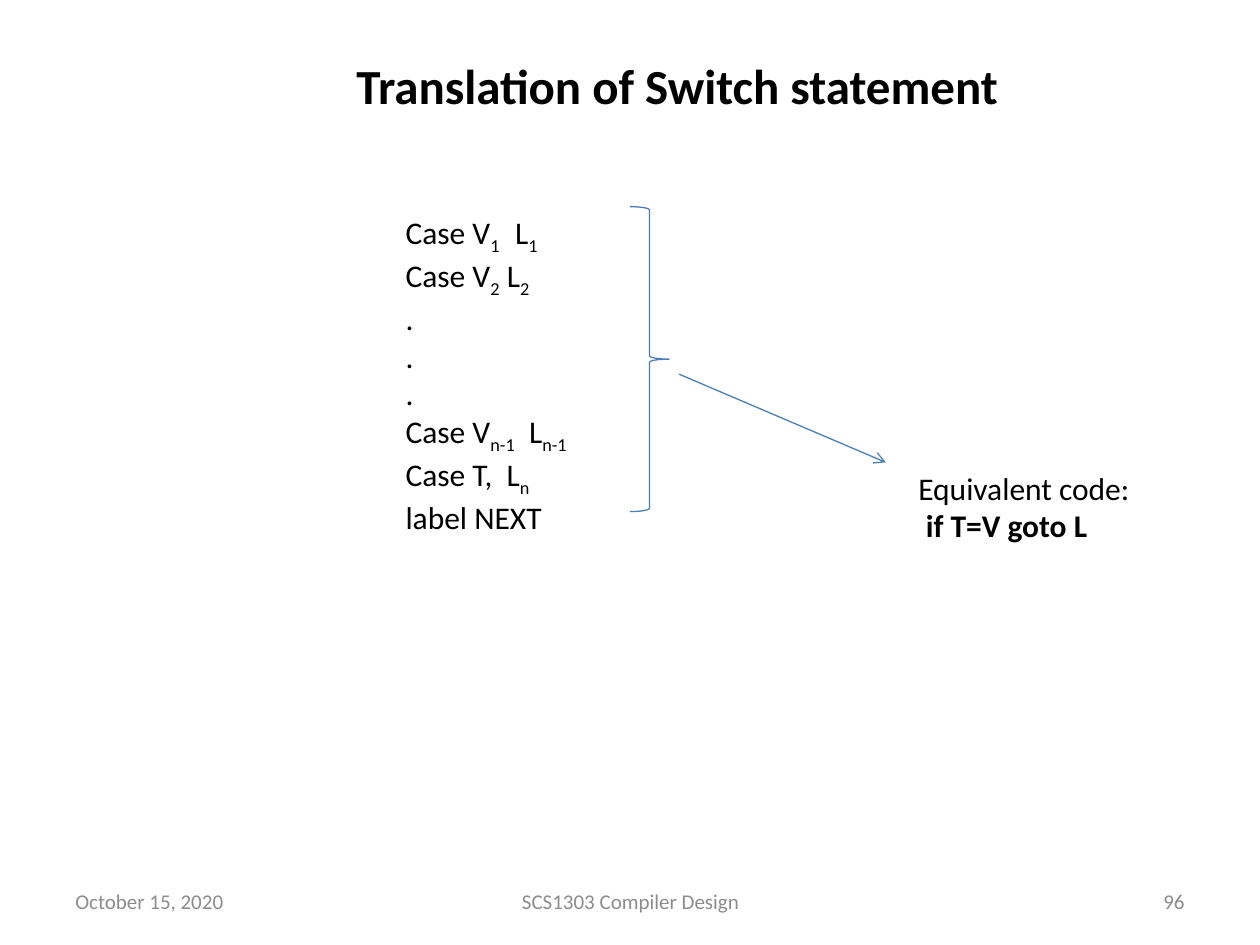
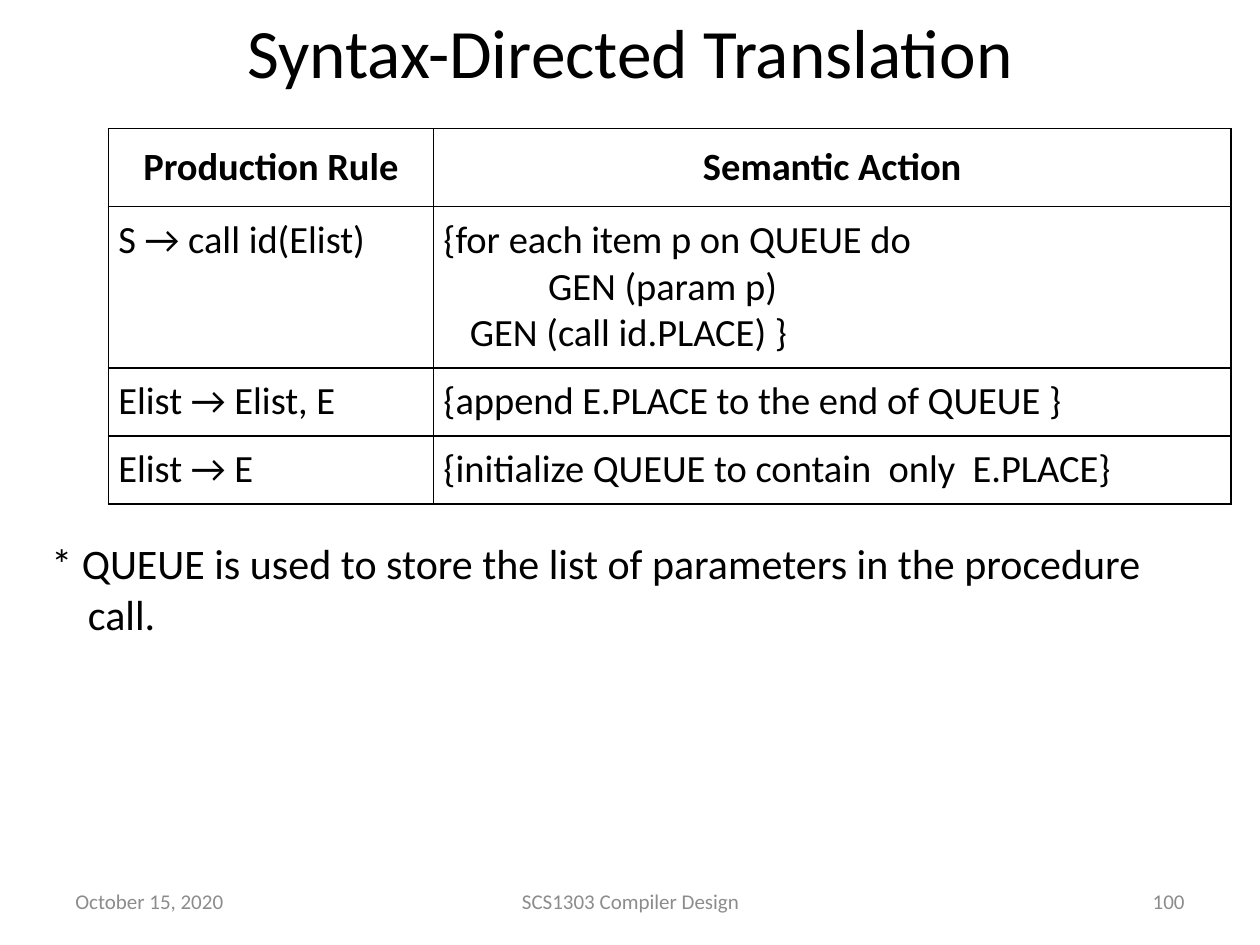
"""Build two compiler design slides on switch statements and procedure calls."""
from dataclasses import dataclass
from typing import Any

import lxml.etree
import pptx
import pptx.dml.color
import pptx.enum.shapes
import pptx.enum.text
import pptx.oxml.ns
import pptx.util

Inches = pptx.util.Inches
Pt = pptx.util.Pt
Align = pptx.enum.text.PP_ALIGN
Anchor = pptx.enum.text.MSO_ANCHOR

FONT_NAME = "Calibri"
BLACK = pptx.dml.color.RGBColor(0x00, 0x00, 0x00)
GRAY = pptx.dml.color.RGBColor(0x8C, 0x8C, 0x8C)
BLUE = pptx.dml.color.RGBColor(0x4B, 0x7E, 0xBC)


@dataclass(frozen=True)
class Run:
    """A stretch of text in one style."""
    text: str
    bold: bool = False
    subscript: bool = False


@dataclass(frozen=True)
class Line:
    """A paragraph with its left indent in inches."""
    runs: tuple[Run, ...]
    indent: float = 0


@dataclass(frozen=True)
class Style:
    """The look shared by the paragraphs of one text."""
    size: float
    color: pptx.dml.color.RGBColor = BLACK
    align: Any = Align.LEFT


@dataclass(frozen=True)
class TextBox:
    """A text box with its place in inches."""
    left: float
    top: float
    width: float
    height: float
    lines: tuple[Line, ...]
    style: Style
    anchor: Any = Anchor.TOP
    wrap: bool = True


def plain(text: str, indent: float = 0, bold: bool = False) -> Line:
    """Return a line of a single run."""
    return Line((Run(text, bold),), indent)


def indexed(*pairs: tuple[str, str]) -> Line:
    """Return a line of words, each followed by its subscript."""
    return Line(tuple(
        run for word, index in pairs
        for run in (Run(word), Run(index, subscript=True))
    ))


CASE_LINES = (
    indexed(("Case V", "1  "), (" L", "1")),
    indexed(("Case V", "2"), (" L", "2")),
    *(plain(".") for _ in range(3)),
    indexed(("Case V", "n-1"), ("  L", "n-1")),
    indexed(("Case T,  L", "n")),
    plain("label NEXT"),
)
EQUIVALENT_LINES = (
    plain("Equivalent code:"),
    plain("if T=V goto L", 0.06, True),
)
QUEUE_LINES = (
    plain("* QUEUE is used to store the list of parameters in the procedure"),
    plain("call.", 0.29),
)
RULES = (
    ((plain("Production Rule", bold=True),),
     (plain("Semantic Action", bold=True),)),
    ((plain("S → call id(Elist)"),),
     (plain("{for each item p on QUEUE do"),
      plain("GEN (param p)", 0.83),
      plain("GEN (call id.PLACE) }", 0.21))),
    ((plain("Elist → Elist, E"),),
     (plain("{append E.PLACE to the end of QUEUE }"),)),
    ((plain("Elist → E"),),
     (plain("{initialize QUEUE to contain  only  E.PLACE}"),)),
)
COLUMN_WIDTHS = (2.58, 6.33)
ROW_HEIGHTS = (0.62, 1.28, 0.54, 0.54)


def write_lines(text_frame: Any, lines: tuple[Line, ...], style: Style) -> None:
    """Write the lines into a text frame, run by run."""
    for number, line in enumerate(lines):
        paragraph = text_frame.paragraphs[0] if number == 0 else text_frame.add_paragraph()
        paragraph.alignment = style.align
        if line.indent:
            paragraph._p.get_or_add_pPr().set("marL", str(Inches(line.indent)))
        for part in line.runs:
            run = paragraph.add_run()
            run.text = part.text
            run.font.name = FONT_NAME
            run.font.size = Pt(style.size)
            run.font.bold = part.bold
            run.font.color.rgb = style.color
            if part.subscript:
                run._r.get_or_add_rPr().set("baseline", "-25000")


def add_text(slide: Any, box: TextBox) -> None:
    """Add a text box to the slide."""
    shape = slide.shapes.add_textbox(
        Inches(box.left), Inches(box.top), Inches(box.width), Inches(box.height))
    shape.text_frame.word_wrap = box.wrap
    shape.text_frame.vertical_anchor = box.anchor
    write_lines(shape.text_frame, box.lines, box.style)


def add_footer(slide: Any, number: int) -> None:
    """Add the date, course name and slide number."""
    for left, width, text, align in (
        (0.5, 2.33, "October 15, 2020", Align.LEFT),
        (3.42, 3.17, "SCS1303 Compiler Design", Align.CENTER),
        (7.17, 2.33, str(number), Align.RIGHT),
    ):
        add_text(slide, TextBox(left, 6.95, width, 0.4, (plain(text),),
                                Style(12, GRAY, align), Anchor.MIDDLE))


def add_slide(presentation: Any, title: TextBox, number: int) -> Any:
    """Add a blank slide with its title and footer."""
    slide = presentation.slides.add_slide(presentation.slide_layouts[6])
    add_text(slide, title)
    add_footer(slide, number)
    return slide


def set_line(shape: Any) -> None:
    """Give a shape or connector the thin blue line."""
    shape.line.color.rgb = BLUE
    shape.line.width = Pt(0.75)


def add_arrow(slide: Any, start: tuple[float, float], end: tuple[float, float]) -> None:
    """Add a straight arrow between two points."""
    connector = slide.shapes.add_connector(
        pptx.enum.shapes.MSO_CONNECTOR.STRAIGHT,
        *(Inches(length) for length in start + end))
    set_line(connector)
    properties = connector._element.spPr
    outline = properties.find(pptx.oxml.ns.qn("a:ln"))
    lxml.etree.SubElement(outline, pptx.oxml.ns.qn("a:tailEnd"), type="arrow")
    lxml.etree.SubElement(properties, pptx.oxml.ns.qn("a:effectLst"))


def add_brace(slide: Any) -> None:
    """Add the brace that gathers the cases."""
    brace = slide.shapes.add_shape(
        pptx.enum.shapes.MSO_SHAPE.RIGHT_BRACE,
        Inches(5), Inches(1.64), Inches(0.31), Inches(2.42))
    brace.shadow.inherit = False
    brace.fill.background()
    set_line(brace)


def set_borders(cell: Any) -> None:
    """Draw a black border on each side of a cell."""
    properties = cell._tc.get_or_add_tcPr()
    for position, side in enumerate(("a:lnL", "a:lnR", "a:lnT", "a:lnB")):
        border = lxml.etree.Element(pptx.oxml.ns.qn(side), w=str(Pt(1)))
        fill = lxml.etree.SubElement(border, pptx.oxml.ns.qn("a:solidFill"))
        lxml.etree.SubElement(fill, pptx.oxml.ns.qn("a:srgbClr"), val=str(BLACK))
        properties.insert(position, border)


def add_rule_table(slide: Any) -> None:
    """Add the table of production rules and semantic actions."""
    table = slide.shapes.add_table(
        len(ROW_HEIGHTS), len(COLUMN_WIDTHS), Inches(0.86), Inches(1.02),
        Inches(sum(COLUMN_WIDTHS)), Inches(sum(ROW_HEIGHTS))).table
    table.first_row = False
    table.horz_banding = False
    for column, width in zip(table.columns, COLUMN_WIDTHS):
        column.width = Inches(width)
    for row_index, (height, rule) in enumerate(zip(ROW_HEIGHTS, RULES)):
        table.rows[row_index].height = Inches(height)
        header = row_index == 0
        margin = Inches(0.12 if header else 0.08)
        style = Style(22, align=Align.CENTER if header else Align.LEFT)
        for column_index, lines in enumerate(rule):
            cell = table.cell(row_index, column_index)
            cell.margin_left = cell.margin_right = margin
            cell.margin_top = cell.margin_bottom = margin
            cell.fill.background()
            set_borders(cell)
            write_lines(cell.text_frame, lines, style)


def build_switch_slide(presentation: Any) -> None:
    """Build the slide on the switch statement."""
    title = TextBox(2.73, 0.39, 5.31, 0.57,
                    (plain("Translation of Switch statement", bold=True),), Style(28))
    slide = add_slide(presentation, title, 96)
    add_text(slide, TextBox(3.12, 1.64, 2.42, 2.83, CASE_LINES, Style(18)))
    add_text(slide, TextBox(7.19, 3.67, 1.97, 0.71, EQUIVALENT_LINES, Style(18), wrap=False))
    add_arrow(slide, (5.39, 2.97), (7.03, 3.67))
    add_brace(slide)


def build_call_slide(presentation: Any) -> None:
    """Build the slide on the translation of procedure calls."""
    title = TextBox(0.5, 0.08, 9, 0.64, (plain("Syntax-Directed Translation"),),
                    Style(39.6, align=Align.CENTER), Anchor.MIDDLE)
    slide = add_slide(presentation, title, 100)
    add_rule_table(slide)
    add_text(slide, TextBox(0.31, 4.22, 9.3, 0.91, QUEUE_LINES,
                            Style(24, align=Align.JUSTIFY)))


def main() -> None:
    """Build and save the presentation."""
    presentation = pptx.Presentation()
    presentation.slide_width = Inches(10)
    presentation.slide_height = Inches(7.5)
    build_switch_slide(presentation)
    build_call_slide(presentation)
    presentation.save("out.pptx")


if __name__ == "__main__":
    main()
